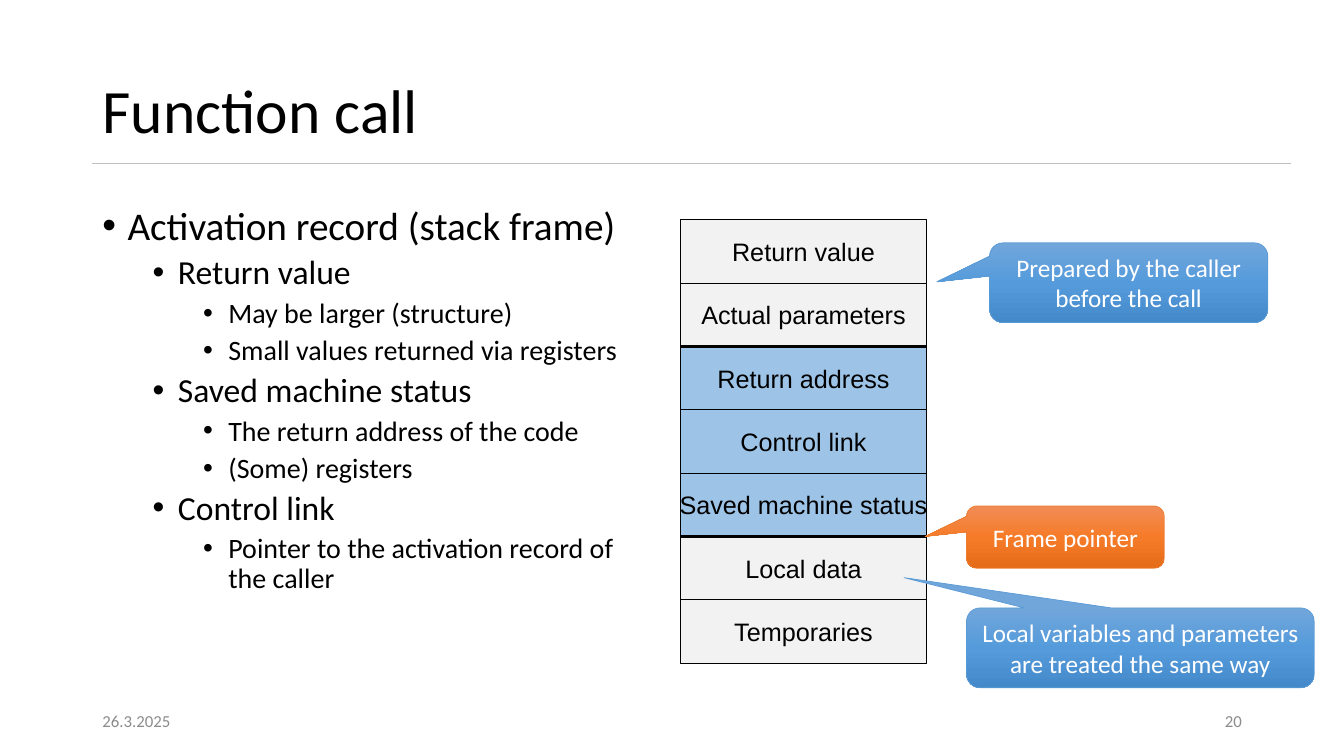
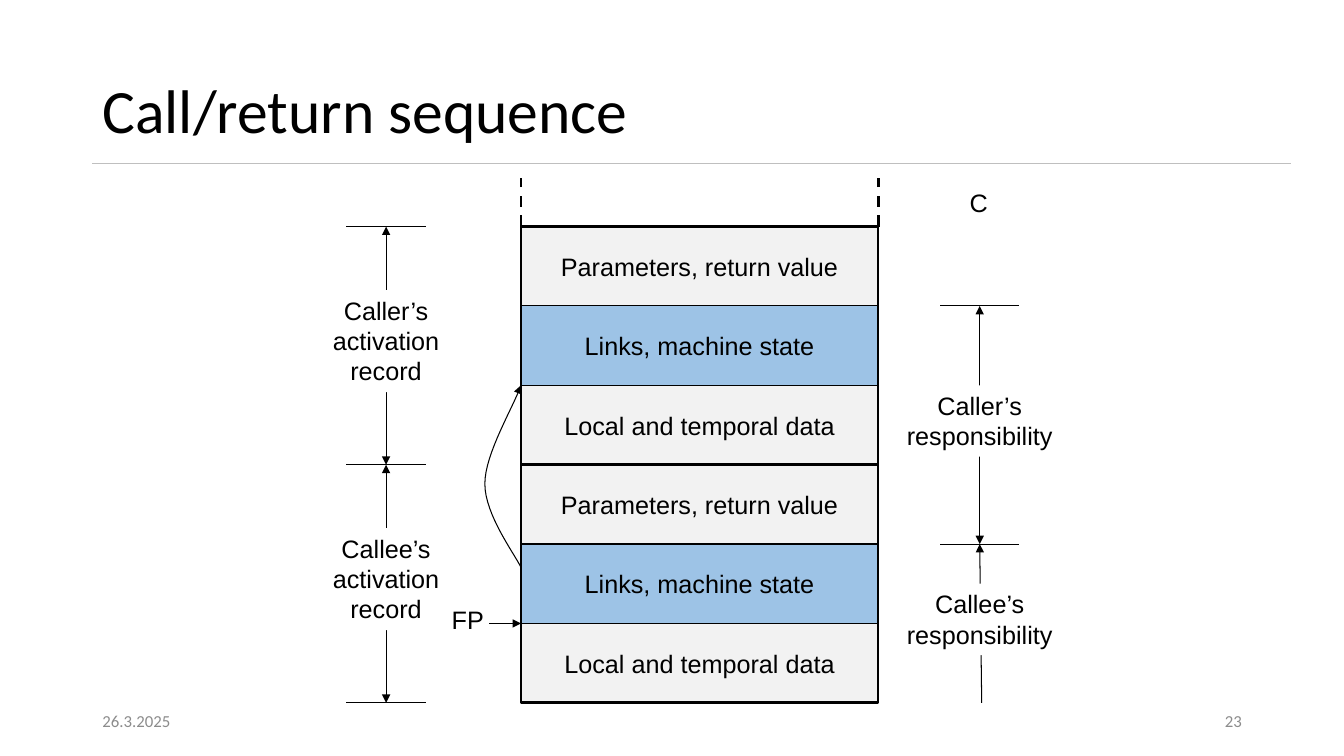
from copy import deepcopy

from lxml import etree
from pptx import Presentation
from pptx.dml.color import RGBColor
from pptx.enum.dml import MSO_LINE
from pptx.enum.shapes import MSO_CONNECTOR, MSO_SHAPE
from pptx.enum.text import MSO_ANCHOR, MSO_AUTO_SIZE, PP_ALIGN
from pptx.oxml.ns import qn
from pptx.util import Cm, Pt

RECTANGLE = MSO_SHAPE.RECTANGLE
CALLOUT = MSO_SHAPE.ROUNDED_RECTANGULAR_CALLOUT
STRAIGHT = MSO_CONNECTOR.STRAIGHT
DASH = MSO_LINE.DASH
LEFT, CENTER, RIGHT = PP_ALIGN.LEFT, PP_ALIGN.CENTER, PP_ALIGN.RIGHT
TOP, MIDDLE = MSO_ANCHOR.TOP, MSO_ANCHOR.MIDDLE

BLACK = RGBColor(0x00, 0x00, 0x00)
WHITE = RGBColor(0xFF, 0xFF, 0xFF)
RULE_GRAY = RGBColor(0xBF, 0xBF, 0xBF)
FOOTER_GRAY = RGBColor(0x8C, 0x8C, 0x8C)
CELL_GRAY = RGBColor(0xF2, 0xF2, 0xF2)
CELL_BLUE = RGBColor(0x9D, 0xC3, 0xE6)
BLUE_LINE = RGBColor(0x5B, 0x9B, 0xD5)
ORANGE_LINE = RGBColor(0xED, 0x7D, 0x31)
BLUE_GRADIENT = (RGBColor(0x71, 0xA6, 0xDB), RGBColor(0x55, 0x9B, 0xDB),
                 RGBColor(0x44, 0x8A, 0xCA))
ORANGE_GRADIENT = (RGBColor(0xF1, 0x8C, 0x57), RGBColor(0xF6, 0x7B, 0x28),
                   RGBColor(0xE5, 0x6C, 0x19))

HEADING_FONT = "Calibri"
DIAGRAM_FONT = "Arial"
MARGIN = 2.33
THIN, THICK = 0.75, 2
DATE = "26.3.2025"

# Size, space before and left indent of each outline level
LEVELS = ((28, 10, 0.25), (24, 5, 0.75), (20, 5, 1.25))


# Text
def format_paragraph(paragraph, text, size=18, font=DIAGRAM_FONT, color=BLACK,
                     align=LEFT, spacing=None):
    paragraph.text = text
    paragraph.alignment = align
    if spacing:
        paragraph.line_spacing = spacing
    for run in paragraph.runs:
        run.font.size = Pt(size)
        run.font.name = font
        run.font.color.rgb = color


def write_text(shape, text, anchor=MIDDLE, wrap=True, **text_format):
    frame = shape.text_frame
    frame.auto_size = MSO_AUTO_SIZE.NONE
    frame.word_wrap = wrap
    frame.vertical_anchor = anchor
    format_paragraph(frame.paragraphs[0], text, **text_format)


def add_text(slide, box, text, **text_format):
    shape = slide.shapes.add_textbox(*map(Cm, box))
    write_text(shape, text, **text_format)
    return shape


# Shapes and lines
def add_box(slide, box, fill=None, line=None, width=THIN, kind=RECTANGLE):
    shape = slide.shapes.add_shape(kind, *map(Cm, box))
    shape.shadow.inherit = False
    if fill is None:
        shape.fill.background()
    else:
        shape.fill.solid()
        shape.fill.fore_color.rgb = fill
    if line is None:
        shape.line.fill.background()
    else:
        shape.line.color.rgb = line
        shape.line.width = Pt(width)
    return shape


def add_arrowheads(shape, *ends):
    line = shape.line._get_or_add_ln()
    for end in ends:
        etree.SubElement(line, qn(f"a:{end}"), type="triangle")


def add_line(slide, start, end, width=THIN, color=BLACK, dash=None, heads=()):
    points = map(Cm, (*start, *end))
    connector = slide.shapes.add_connector(STRAIGHT, *points)
    connector.line.color.rgb = color
    connector.line.width = Pt(width)
    if dash:
        connector.line.dash_style = dash
    add_arrowheads(connector, *heads)
    etree.SubElement(connector._element.spPr, qn("a:effectLst"))


def add_callout(slide, box, text, tip, gradient, line):
    shape = add_box(slide, box, line=line, width=0.5, kind=CALLOUT)
    shape.adjustments[0], shape.adjustments[1] = tip
    shape.fill.gradient()
    shape.fill.gradient_angle = 270
    stop_list = shape._element.spPr.find(qn("a:gradFill")).find(qn("a:gsLst"))
    stop_list.append(deepcopy(stop_list[0]))
    stops = zip(shape.fill.gradient_stops, gradient, (0, 0.5, 1))
    for stop, color, position in stops:
        stop.color.rgb = color
        stop.position = position
    write_text(shape, text, font=HEADING_FONT, color=WHITE, align=CENTER)


# Frame shared by the slides: title, rule, date and number
def add_titled_slide(presentation, title, number):
    slide = presentation.slides.add_slide(presentation.slide_layouts[5])
    placeholder = slide.shapes.title
    placeholder.left, placeholder.top = Cm(MARGIN), Cm(1.02)
    placeholder.width, placeholder.height = Cm(27), Cm(3.68)
    write_text(placeholder, title, size=44, font=HEADING_FONT, spacing=0.9)
    add_line(slide, (MARGIN, 4.12), (32.54, 4.12), width=1, color=RULE_GRAY)
    for left, text, align in ((MARGIN, DATE, LEFT), (23.93, number, RIGHT)):
        add_text(slide, (left, 17.65, 7.62, 1.02), text, size=12,
                 font=HEADING_FONT, color=FOOTER_GRAY, align=align)
    return slide


def add_outline(slide, box, items):
    shape = slide.shapes.add_textbox(*map(Cm, box))
    frame = shape.text_frame
    frame.word_wrap = True
    for index, (level, text) in enumerate(items):
        paragraph = frame.add_paragraph() if index else frame.paragraphs[0]
        size, before, indent = LEVELS[level]
        paragraph.level = level
        format_paragraph(paragraph, text, size=size, font=HEADING_FONT,
                         spacing=0.9)
        if index:
            paragraph.space_before = Pt(before)
        properties = paragraph._p.get_or_add_pPr()
        properties.set("marL", str(Cm(indent * 2.54)))
        properties.set("indent", str(-Cm(0.25 * 2.54)))
        etree.SubElement(properties, qn("a:buFont"), typeface="Arial")
        etree.SubElement(properties, qn("a:buChar"), char="•")


def add_stack(slide, box, cells):
    left, top, width, height = box
    row = height / len(cells)
    for index, (text, fill) in enumerate(cells):
        cell = add_box(slide, (left, top + index * row, width, row), fill, BLACK)
        write_text(cell, text, wrap=False, align=CENTER)


def add_label(slide, box, text, fill=None):
    shape = add_box(slide, box, fill)
    write_text(shape, text, anchor=TOP, wrap=False, align=CENTER)


def add_tick(slide, center, y):
    add_line(slide, (center - 1, y), (center + 1, y))


def add_span(slide, start, end, text, label_size, offset,
             heads=("headEnd", "tailEnd")):
    """Draw a vertical span with a label over it, offset from its start."""
    add_line(slide, start, end, heads=heads)
    width, height = label_size
    box = (start[0] - width / 2, start[1] + offset, width, height)
    add_label(slide, box, text, WHITE)


def add_curve(slide, origin, segments):
    """Draw an open arrow through cubic segments relative to the origin."""
    steps = 16
    points = [segments[0][0]]
    for segment in segments:
        for step in range(1, steps + 1):
            t = step / steps
            weights = ((1 - t) ** 3, 3 * t * (1 - t) ** 2,
                       3 * t * t * (1 - t), t ** 3)
            points.append(tuple(
                sum(weight * point[axis]
                    for weight, point in zip(weights, segment))
                for axis in (0, 1)))
    points = [(Cm(origin[0] + x), Cm(origin[1] + y)) for x, y in points]
    builder = slide.shapes.build_freeform(*points[0])
    builder.add_line_segments(points[1:], close=False)
    curve = builder.convert_to_shape()
    curve.shadow.inherit = False
    curve.fill.background()
    curve.line.color.rgb = BLACK
    curve.line.width = Pt(THIN)
    add_arrowheads(curve, "tailEnd")


# Slides
def build_function_call(presentation):
    slide = add_titled_slide(presentation, "Function call", "20")
    add_outline(slide, (MARGIN, 5.08, 14, 12.09), (
        (0, "Activation record (stack frame)"),
        (1, "Return value"),
        (2, "May be larger (structure)"),
        (2, "Small values returned via registers"),
        (1, "Saved machine status"),
        (2, "The return address of the code"),
        (2, "(Some) registers"),
        (1, "Control link"),
        (2, "Pointer to the activation record of the caller"),
    ))

    # Activation record
    left, top, width, height = stack = (17.15, 5.54, 6.2, 11.17)
    cells = (
        ("Return value", CELL_GRAY),
        ("Actual parameters", CELL_GRAY),
        ("Return address", CELL_BLUE),
        ("Control link", CELL_BLUE),
        ("Saved machine status", CELL_BLUE),
        ("Local data", CELL_GRAY),
        ("Temporaries", CELL_GRAY),
    )
    add_stack(slide, stack, cells)
    for index in (2, 5):
        y = top + index * height / len(cells)
        add_line(slide, (left, y), (left + width, y), THICK)

    add_callout(slide, (24.94, 6.12, 7.01, 2.01),
                "Prepared by the caller before the call",
                (-0.69, -0.01), BLUE_GRADIENT, BLUE_LINE)
    add_callout(slide, (24.36, 12.75, 4.98, 1.57), "Frame pointer",
                (-0.71, -0.01), ORANGE_GRADIENT, ORANGE_LINE)
    add_callout(slide, (24.36, 15.32, 8.76, 2.01),
                "Local variables and parameters are treated the same way",
                (-0.68, -0.88), BLUE_GRADIENT, BLUE_LINE)


def build_call_sequence(presentation):
    slide = add_titled_slide(presentation, "Call/return sequence", "23")
    left, top, width, row = 13.13, 5.71, 9, 2
    right, record_height = left + width, 3 * row
    middle, bottom = top + record_height, top + 2 * record_height

    # Two stacked activation records
    cells = (
        ("Parameters, return value", CELL_GRAY),
        ("Links, machine state", CELL_BLUE),
        ("Local and temporal data", CELL_GRAY),
    )
    for y in (top, middle):
        record = (left, y, width, record_height)
        add_stack(slide, record, cells)
        add_box(slide, record, line=BLACK, width=THICK)
    for x in (left, right):
        add_line(slide, (x, top), (x, top - 1.22), THICK, dash=DASH)

    # Record spans on the left
    center = 9.73
    for y in (top, middle, bottom):
        add_tick(slide, center, y)
    for y, owner in ((top, "Caller’s"), (middle, "Callee’s")):
        add_span(slide, (center, y), (center, y + record_height),
                 f"{owner}\nactivation\nrecord", (3.23, 2.57), 1.6)

    # Responsibility spans on the right
    center = 24.69
    caller_top, callee_top = top + row, middle + row
    for y in (caller_top, callee_top):
        add_tick(slide, center, y)
    label_size = (4.22, 1.8)
    add_span(slide, (center, caller_top), (center, callee_top),
             "Caller’s\nresponsibility", label_size, 2)
    add_span(slide, (center, callee_top), (center + 0.05, bottom),
             "Callee’s\nresponsibility", label_size, 1, heads=("headEnd",))
    add_label(slide, (24.18, 4.6, 0.97, 1.02), "C")

    # Frame pointer and control link
    pointer_y = bottom - row
    add_line(slide, (left - 0.8, pointer_y), (left, pointer_y),
             heads=("tailEnd",))
    add_label(slide, (11.13, 15.11, 1.32, 1.02), "FP")
    add_curve(slide, (left, middle - row), (
        ((0, 4.59), (-0.15, 4.26), (-0.91, 3.27), (-0.91, 2.48)),
        ((-0.91, 2.48), (-0.91, 1.72), (-0.18, 0.53), (0, 0)),
    ))


def main():
    presentation = Presentation()
    presentation.slide_width, presentation.slide_height = Cm(33.87), Cm(19.05)
    build_function_call(presentation)
    build_call_sequence(presentation)
    presentation.save("out.pptx")


if __name__ == "__main__":
    main()
